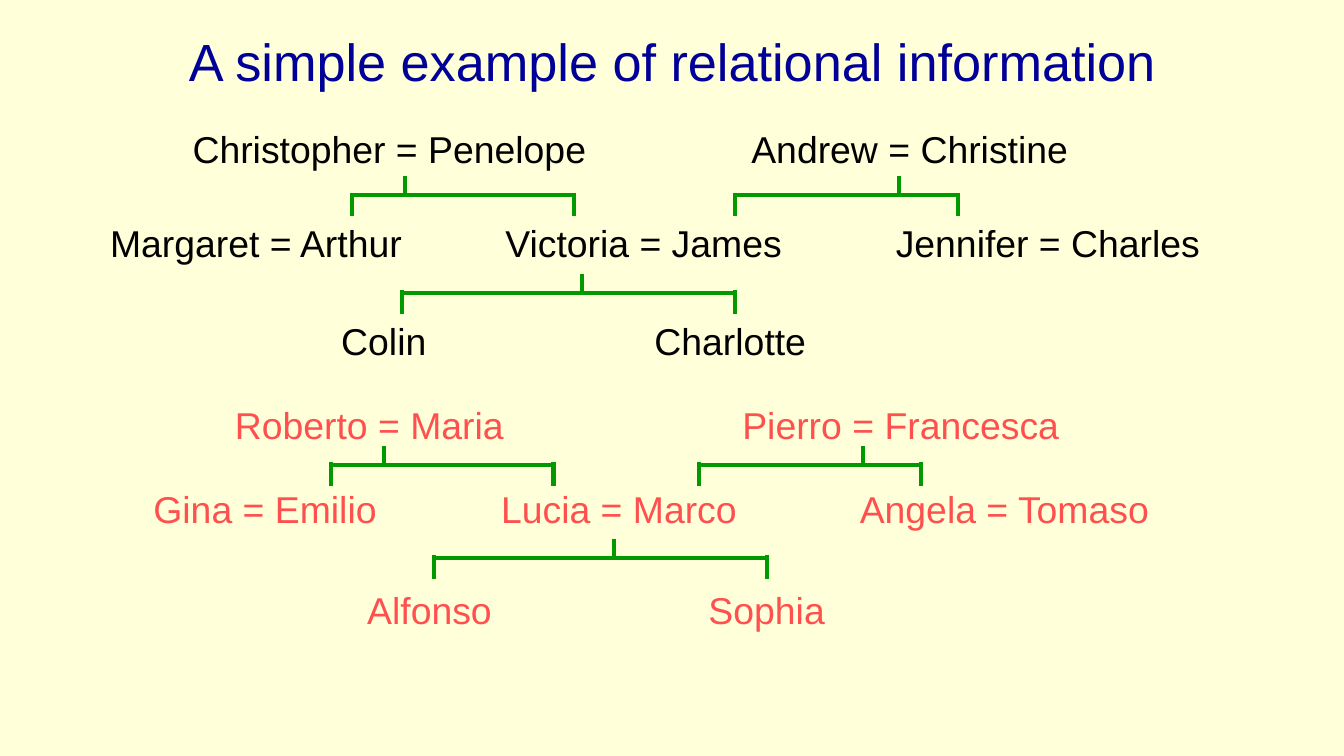
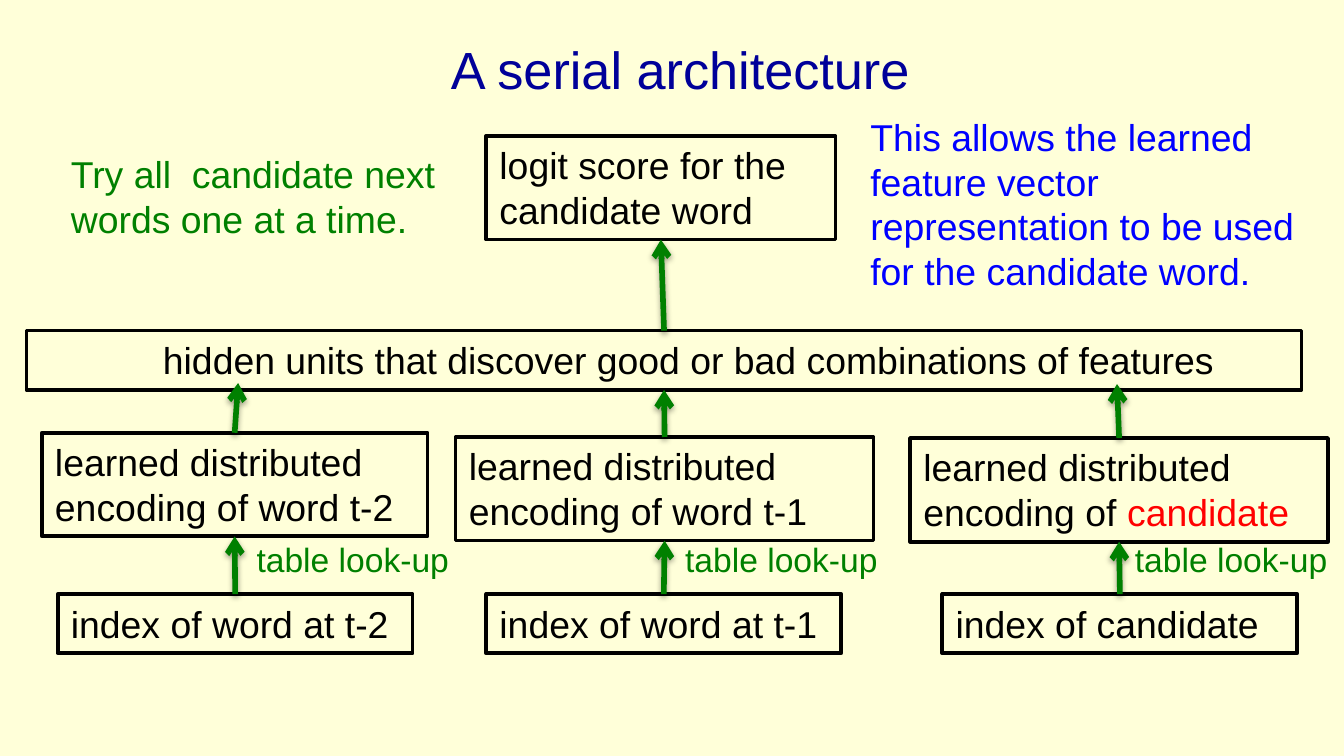
from lxml import etree
from pptx import Presentation
from pptx.dml.color import RGBColor
from pptx.enum import shapes, text
from pptx.oxml import ns, parse_xml
from pptx.util import Cm, Pt

CREAM = RGBColor(0xFF, 0xFF, 0xD9)
NAVY = RGBColor(0x00, 0x00, 0x99)
BLACK = RGBColor(0x00, 0x00, 0x00)
CORAL = RGBColor(0xFF, 0x50, 0x50)
LEAF = RGBColor(0x00, 0x99, 0x00)
GREEN = RGBColor(0x00, 0x80, 0x00)
BLUE = RGBColor(0x00, 0x00, 0xFF)
RED = RGBColor(0xFF, 0x00, 0x00)
FONT = "Arial"
SHADOW = (
    '<a:effectLst %s><a:outerShdw blurRad="39370" dist="20320" dir="5400000" rotWithShape="0">'
    '<a:srgbClr val="000000"><a:alpha val="38000"/></a:srgbClr>'
    "</a:outerShdw></a:effectLst>" % ns.nsdecls("a")
)


def add_text(s, words, x, y, w, h, color=BLACK, size=20, outlined=False):
    if outlined:
        sp = s.shapes.add_shape(shapes.MSO_SHAPE.RECTANGLE, Cm(x), Cm(y), Cm(w), Cm(h))
        sp.shadow.inherit = False
        sp.fill.background()
        sp.line.color.rgb = BLACK
        sp.line.width = Pt(2)
    else:
        sp = s.shapes.add_textbox(Cm(x), Cm(y), Cm(w), Cm(h))
    tf = sp.text_frame
    tf.word_wrap = True
    tf.vertical_anchor = text.MSO_ANCHOR.TOP
    tf.text = words
    p = tf.paragraphs[0]
    p.alignment = text.PP_ALIGN.LEFT
    r = p.runs[0]
    r.font.name = FONT
    r.font.size = Pt(size)
    r.font.color.rgb = color
    return sp


def add_line(s, x1, y1, x2, y2, color=LEAF, width=2.25, arrow=False):
    c = s.shapes.add_connector(
        shapes.MSO_CONNECTOR.STRAIGHT, Cm(x1), Cm(y1), Cm(x2), Cm(y2)
    )
    c.line.color.rgb = color
    c.line.width = Pt(width)
    spPr = c._element.spPr
    if arrow:
        etree.SubElement(c.line._get_or_add_ln(), ns.qn("a:tailEnd"), type="arrow")
        spPr.append(parse_xml(SHADOW))
    else:
        etree.SubElement(spPr, ns.qn("a:effectLst"))
    return c


prs = Presentation()
prs.slide_width, prs.slide_height = Cm(25.4), Cm(14.29)
fill = prs.slide_master.background.fill
fill.solid()
fill.fore_color.rgb = CREAM

slides = []
for title, x, y, w in [
    ("A simple example of relational information", 1.27, -0.05, 22.86),
    ("A serial architecture", 0.79, 0.1, 24.13),
]:
    s = prs.slides.add_slide(prs.slide_layouts[6])
    sp = add_text(s, title, x, y, w, 2.39, NAVY, 28)
    sp.text_frame.vertical_anchor = text.MSO_ANCHOR.MIDDLE
    sp.text_frame.paragraphs[0].alignment = text.PP_ALIGN.CENTER
    slides.append(s)
tree, network = slides

families = [
    (BLACK, [
        (2.26, [("Christopher = Penelope", 3.39), ("Andrew = Christine", 13.95)]),
        (4.04, [("Margaret = Arthur", 1.83), ("Victoria = James", 9.3),
                ("Jennifer = Charles", 16.68)]),
        (5.89, [("Colin", 6.2), ("Charlotte", 12.12)]),
    ]),
    (CORAL, [
        (7.47, [("Roberto = Maria", 4.19), ("Pierro = Francesca", 13.78)]),
        (9.07, [("Gina = Emilio", 2.65), ("Lucia = Marco", 9.22),
                ("Angela = Tomaso", 16)]),
        (10.97, [("Alfonso", 6.69), ("Sophia", 13.14)]),
    ]),
]
for color, generations in families:
    for y, names in generations:
        for name, x in names:
            add_text(tree, name, x, y, 1.2 + 0.34 * len(name), 1.07, color)

brackets = [
    (7.65, 3.33, 6.65, 10.85),
    (16.99, 3.33, 13.89, 18.11),
    (11, 5.18, 7.59, 13.89),
    (7.26, 8.43, 6.25, 10.46),
    (16.31, 8.43, 13.21, 17.4),
    (11.61, 10.19, 8.2, 14.5),
]
for stem, top, left, right in brackets:
    bar = top + 0.36
    add_line(tree, stem, top, stem, bar)
    add_line(tree, left, bar, right, bar)
    for leg in (left, right):
        add_line(tree, leg, bar - 0.05, leg, bar + 0.4)

add_text(network, "Try all  candidate next words one at a time.",
         1.09, 2.74, 7.7, 1.96, GREEN)
add_text(network,
         "This allows the learned feature vector representation to be used "
         "for the candidate word.", 16.2, 2.03, 8.89, 3.68, BLUE)
logit = add_text(network, "logit score for the candidate word",
                 9.19, 2.57, 6.6, 1.96, outlined=True)
hidden = add_text(network,
                  "hidden units that discover good or bad combinations of features",
                  0.5, 6.25, 24.1, 1.12, outlined=True)
hidden.text_frame.margin_left = Cm(2.58)
arrow = add_line(network, 12.55, 6.25, 12.49, 4.53, GREEN, 3, True)
arrow.begin_connect(hidden, 0)
arrow.end_connect(logit, 2)

columns = [
    ("word t-2", "word at t-2", 0.79, 8.18, 7.29, 1.09, 4.6, (4.5, 7.24)),
    ("word t-1", "word at t-1", 8.61, 8.26, 7.9, 9.19, 12.7, None),
    ("candidate", "candidate", 17.2, 8.28, 7.9, 17.81, 21.2, (21.11, 7.26)),
]
for word, index_word, x, y, w, index_x, note_x, tip in columns:
    encoding = add_text(network, "learned distributed encoding of ",
                        x, y, w, 1.96, outlined=True)
    p = encoding.text_frame.paragraphs[0]
    r = p.add_run()
    r.text = word
    r.font.name = FONT
    r.font.size = Pt(20)
    r.font.color.rgb = RED if word == "candidate" else BLACK
    index = add_text(network, "index of " + index_word,
                     index_x, 11.23, 6.71, 1.12, outlined=True)
    add_text(network, "table look-up", note_x, 10.06, 4.19, 1.02, GREEN, 18)

    lookup = add_line(network, x, 11.23, x, 10.2, GREEN, 3, True)
    lookup.begin_connect(index, 0)
    lookup.end_connect(encoding, 2)
    tip_x, tip_y = tip or (12.55, 7.37)
    feed = add_line(network, x, y, tip_x, tip_y, GREEN, 3, True)
    feed.begin_connect(encoding, 0)
    if tip is None:
        feed.end_connect(hidden, 2)

prs.save("out.pptx")
